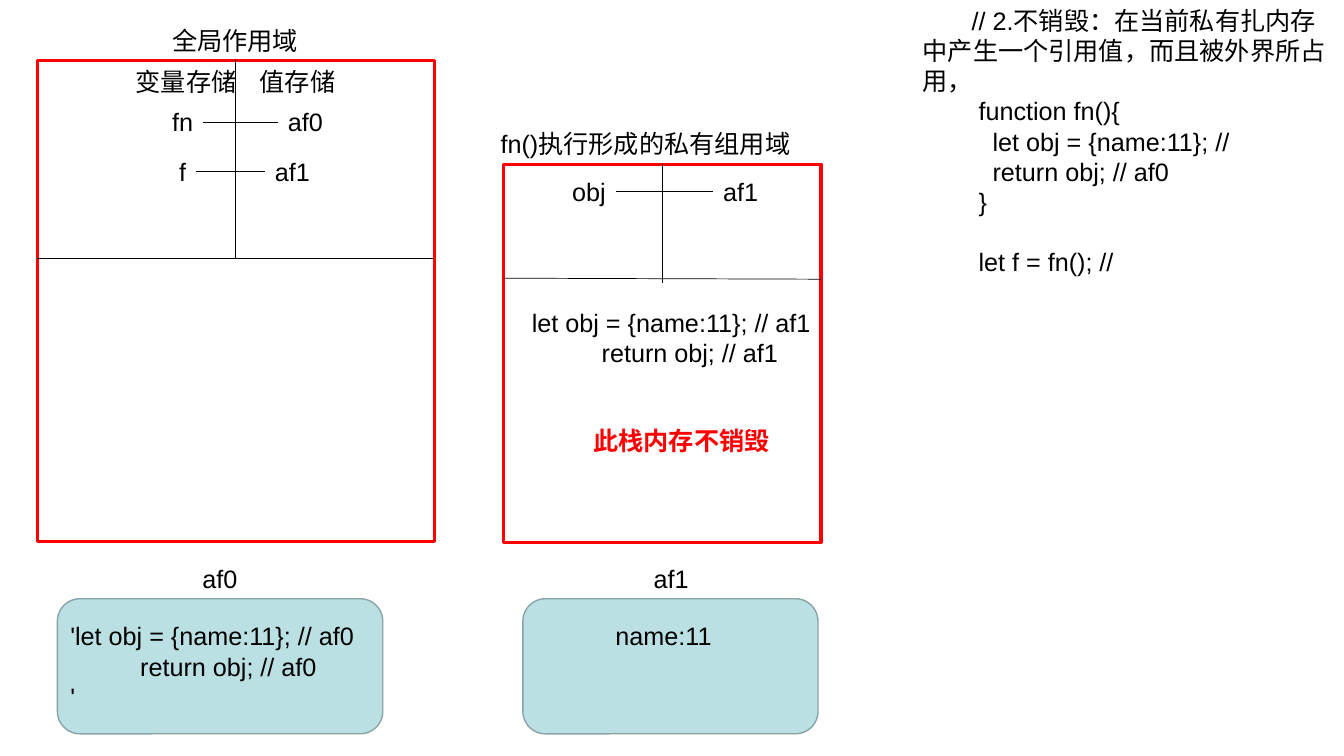
from dataclasses import dataclass

from lxml import etree
from pptx import Presentation
from pptx.dml.color import RGBColor
from pptx.enum.shapes import MSO_CONNECTOR, MSO_SHAPE
from pptx.enum.text import MSO_AUTO_SIZE
from pptx.oxml.ns import qn
from pptx.util import Emu, Pt

RECT, ROUNDED = MSO_SHAPE.RECTANGLE, MSO_SHAPE.ROUNDED_RECTANGLE
STRAIGHT = MSO_CONNECTOR.STRAIGHT
GROW = MSO_AUTO_SIZE.SHAPE_TO_FIT_TEXT

PX = 9144  # 100 px to the inch
FONT, SIZE = "Arial", 18
LINE_H, TEXT_H = 30, 40
SLACK = 4  # spare width that keeps a label on one line
COLORS = {"white": "FFFFFF", "black": "000000", "red": "FF0000",
          "heap": "BBE0E3", "heap_edge": "89A4A7"}


@dataclass
class Label:
    text: str
    x: int
    y: int
    w: int


@dataclass
class Binding:
    """A variable tied by a line to its value."""
    name: str
    value: str
    x: int
    y: int
    name_w: int
    value_x: int


@dataclass
class Scope:
    title: Label
    x: int
    y: int
    w: int
    h: int
    split: tuple[int, int]  # y of the divider at its left and right end
    stem_end: int
    bindings: list[Binding]


@dataclass
class Heap:
    address: Label
    content: Label
    x: int
    w: int


SCOPES = [
    Scope(Label("全局作用域", 161, 20, 145), 37, 60, 394, 477, (256, 256), 257,
          [Binding("fn", "af0", 161, 101, 41, 276),
           Binding("f", "af1", 168, 150, 27, 263)]),
    Scope(Label("fn()执行形成的私有组用域", 487, 122, 313), 500, 163, 315, 375,
          (276, 277), 281,
          [Binding("obj", "af1", 558, 170, 53, 708)]),
]
HEAPS = [
    Heap(Label("af0", 191, 554, 55),
         Label("'let obj = {name:11}; // af0\n          return obj; // af0\n'",
               60, 611, 303), 57, 323),
    Heap(Label("af1", 639, 554, 55), Label("name:11", 601, 611, 117), 519, 293),
]
LABELS = [
    Label("变量存储", 125, 61, 120),
    Label("值存储", 248, 61, 95),
    Label("let obj = {name:11}; // af1\n          return obj; // af1",
          518, 300, 298),
]
NOTE = Label(
    "       // 2.不销毁：在当前私有扎内存中产生一个引用值，而且被外界所占用，\n"
    "        function fn(){\n"
    "          let obj = {name:11}; //\n"
    "          return obj; // af0\n"
    "        }\n"
    "        let f = fn(); //", 906, 0, 428)
WARNING = Label("此栈内存不销毁", 579, 417, 195)


def rgb(name: str) -> RGBColor:
    return RGBColor.from_string(COLORS[name])


def add_text(s, label: Label, *, color: str = "black", bold: bool = False,
             wrap: bool = False, last_gap: int = 0) -> None:
    """Write one paragraph per line; last_gap is the space in points before the last."""
    lines = label.text.split("\n")
    w = label.w if wrap else label.w + SLACK
    h = TEXT_H + LINE_H * (len(lines) - 1)
    box = s.shapes.add_textbox(*(Emu(v * PX) for v in (label.x, label.y, w, h)))
    tf = box.text_frame
    tf.word_wrap = wrap
    tf.auto_size = GROW
    for i, line in enumerate(lines):
        p = tf.add_paragraph() if i else tf.paragraphs[0]
        r = p.add_run()
        r.text = line
        r.font.name, r.font.size, r.font.bold = FONT, Pt(SIZE), bold
        r.font.color.rgb = rgb(color)
    if last_gap:
        tf.paragraphs[-1].space_before = Pt(last_gap)


def add_line(s, x1: int, y1: int, x2: int, y2: int) -> None:
    line = s.shapes.add_connector(STRAIGHT, *(Emu(v * PX) for v in (x1, y1, x2, y2)))
    line.line.color.rgb = rgb("black")
    line.line.width = Pt(0.5)
    etree.SubElement(line._element.spPr, qn("a:effectLst"))


def add_box(s, kind, x: int, y: int, w: int, h: int, *, fill: str, edge: str,
            edge_pt: float) -> None:
    sp = s.shapes.add_shape(kind, *(Emu(v * PX) for v in (x, y, w, h)))
    sp.shadow.inherit = False
    sp.fill.solid()
    sp.fill.fore_color.rgb = rgb(fill)
    sp.line.color.rgb = rgb(edge)
    sp.line.width = Pt(edge_pt)


def add_scope(s, scope: Scope) -> None:
    add_box(s, RECT, scope.x, scope.y, scope.w, scope.h,
            fill="white", edge="red", edge_pt=2.25)
    add_text(s, scope.title)
    left_y, right_y = scope.split
    add_line(s, scope.x, left_y, scope.x + scope.w, right_y)
    mid = scope.x + scope.w // 2
    add_line(s, mid, scope.y, mid, scope.stem_end)
    for b in scope.bindings:
        add_text(s, Label(b.name, b.x, b.y, b.name_w))
        add_text(s, Label(b.value, b.value_x, b.y, 55))
        y = b.y + TEXT_H // 2
        add_line(s, b.x + b.name_w, y, b.value_x, y)


def add_heap(s, heap: Heap) -> None:
    add_box(s, ROUNDED, heap.x, 594, heap.w, 134,
            fill="heap", edge="heap_edge", edge_pt=1)
    add_text(s, heap.address)
    add_text(s, heap.content)


def main() -> None:
    prs = Presentation()
    prs.slide_width, prs.slide_height = Emu(1334 * PX), Emu(750 * PX)
    s = prs.slides.add_slide(prs.slide_layouts[6])
    for scope in SCOPES:
        add_scope(s, scope)
    for heap in HEAPS:
        add_heap(s, heap)
    for label in LABELS:
        add_text(s, label)
    add_text(s, NOTE, wrap=True, last_gap=21)
    add_text(s, WARNING, color="red", bold=True)
    prs.save("out.pptx")


if __name__ == "__main__":
    main()
